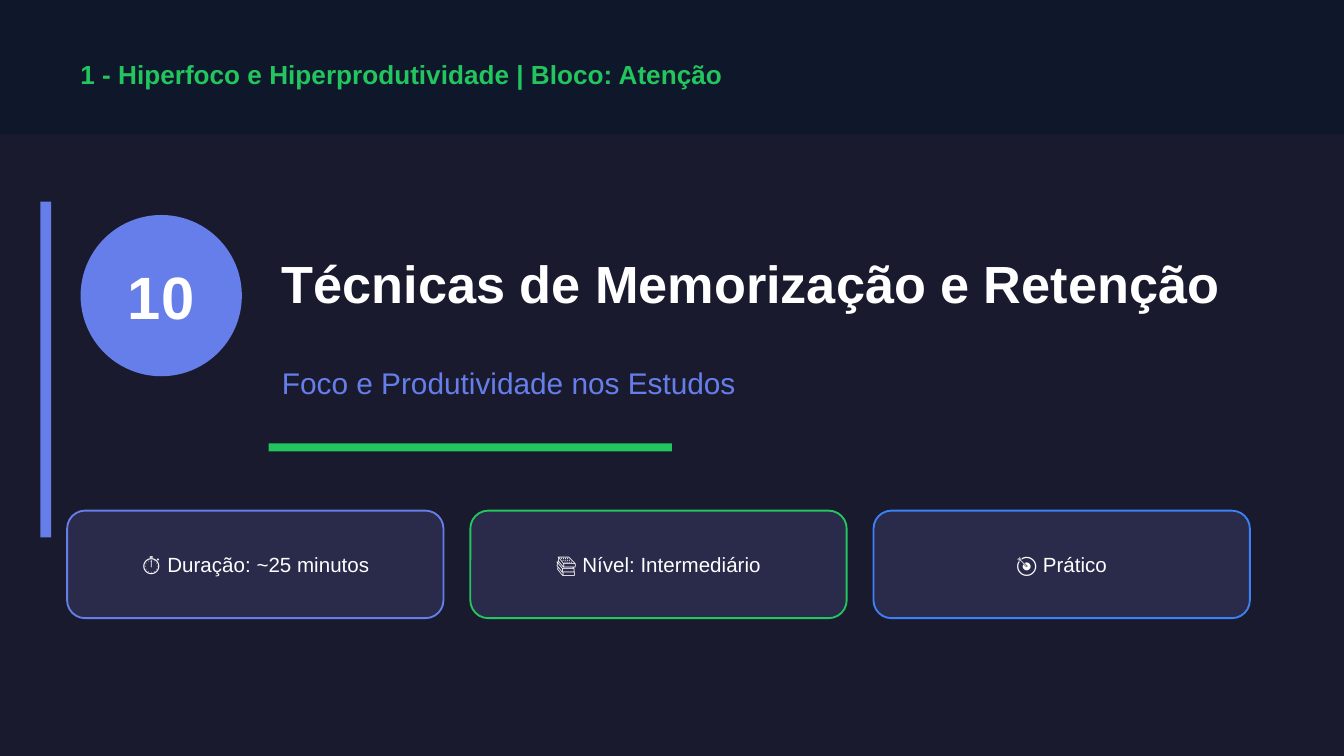
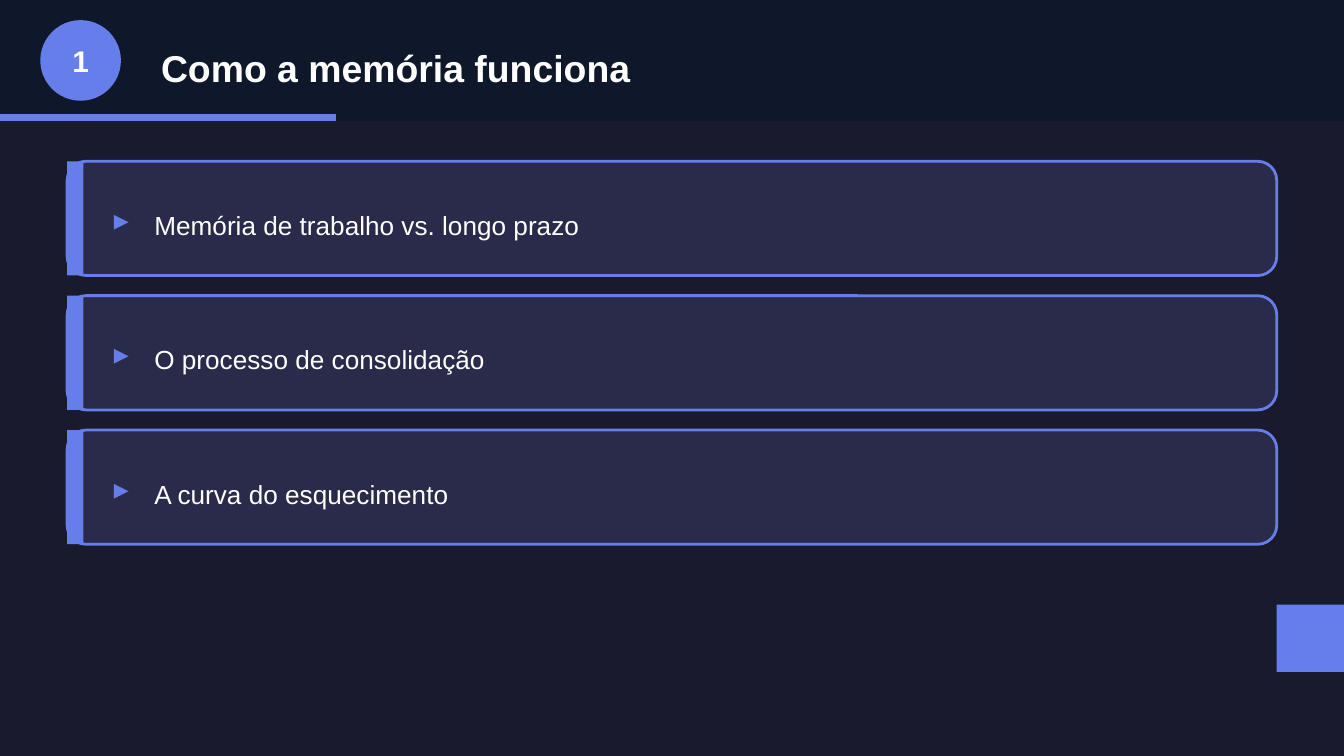
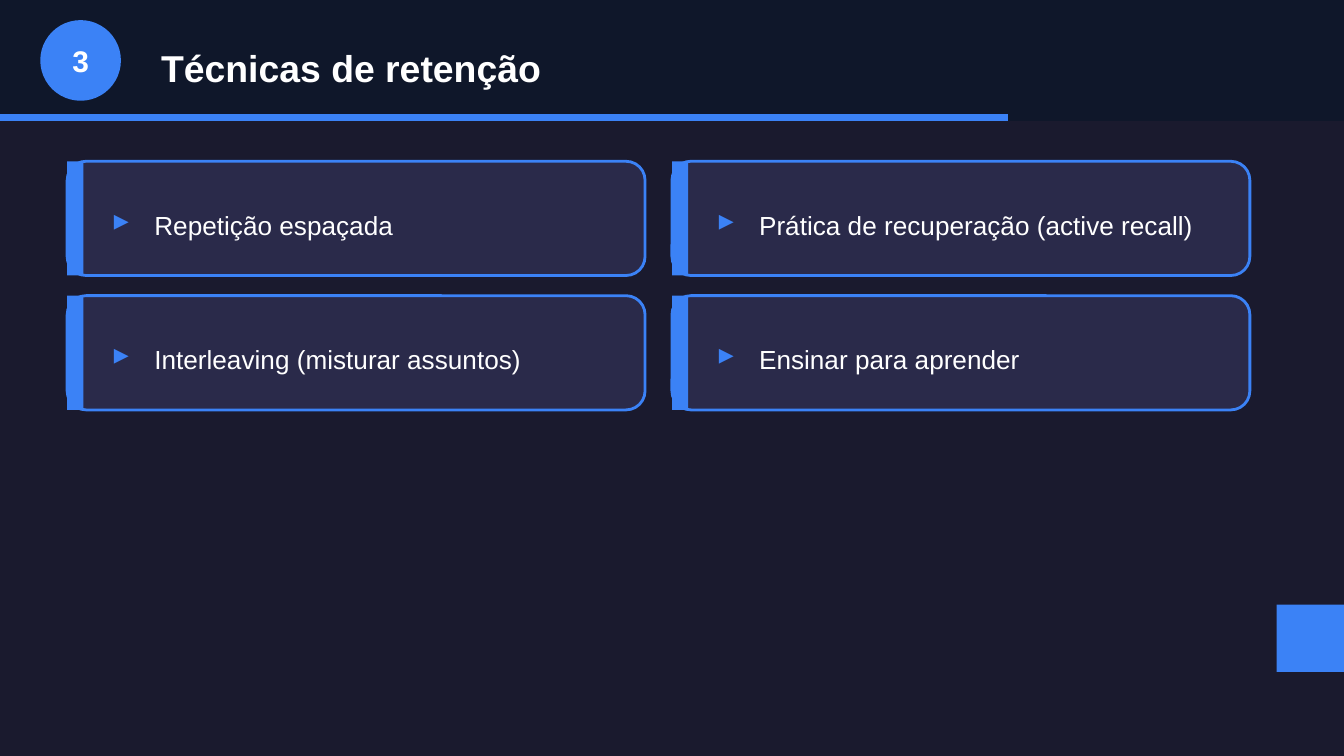
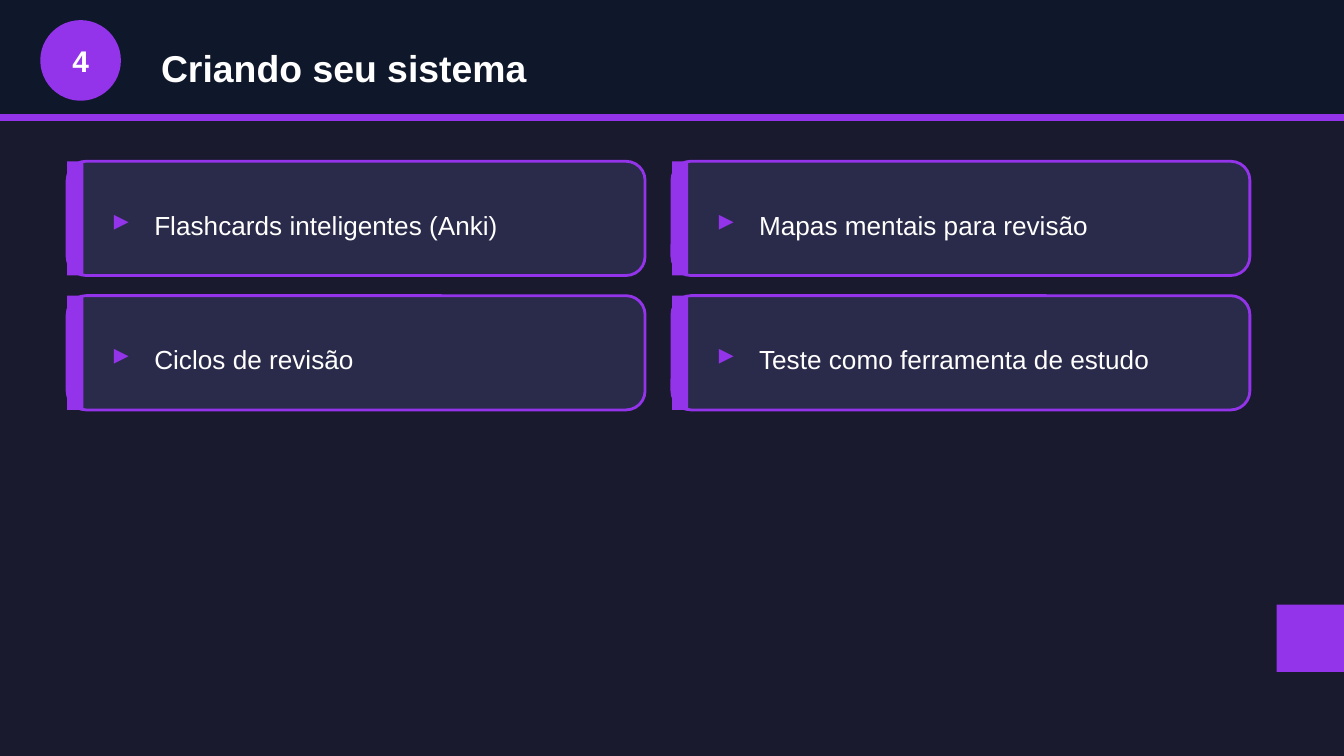
from pptx import Presentation
from pptx import util as u
from pptx.dml import color as dml
from pptx.enum import shapes, text

COLORS = {
    "background": "1A1A2E",
    "band": "0F172A",
    "card": "2A2A4A",
    "white": "FFFFFF",
    "indigo": "667EEA",
    "green": "22C55E",
    "blue": "3B82F6",
    "purple": "9333EA",
}
TEXT_STYLES = {
    "block": {"size": u.Pt(14), "bold": True},
    "lesson number": {"size": u.Pt(32), "bold": True},
    "lesson title": {"size": u.Pt(28), "bold": True},
    "subtitle": {"size": u.Pt(16), "bold": False},
    "tag": {"size": u.Pt(11), "bold": False},
    "badge": {"size": u.Pt(16), "bold": True},
    "section title": {"size": u.Pt(20), "bold": True},
    "marker": {"size": u.Pt(16), "bold": True},
    "topic": {"size": u.Pt(14), "bold": False},
}
FONT = "Arial"
SLIDE_WIDTH, SLIDE_HEIGHT = 720, 405
MARGIN = 36
SECTION_COUNT = 4
CARD_TOP, CARD_HEIGHT, CARD_PITCH = 86.4, 61.2, 72
COLUMN_PITCH = 324

TAGS = [
    ("⏱ Duração: ~25 minutos", "indigo"),
    ("📚 Nível: Intermediário", "green"),
    ("🎯 Prático", "blue"),
]
SECTIONS = [
    {"number": 1, "title": "Como a memória funciona", "accent": "indigo",
     "columns": 1, "card_width": 648,
     "topics": ["Memória de trabalho vs. longo prazo",
                "O processo de consolidação",
                "A curva do esquecimento"]},
    {"number": 3, "title": "Técnicas de retenção", "accent": "blue",
     "columns": 2, "card_width": 309.6,
     "topics": ["Repetição espaçada",
                "Prática de recuperação (active recall)",
                "Interleaving (misturar assuntos)",
                "Ensinar para aprender"]},
    {"number": 4, "title": "Criando seu sistema", "accent": "purple",
     "columns": 2, "card_width": 309.6,
     "topics": ["Flashcards inteligentes (Anki)",
                "Mapas mentais para revisão",
                "Ciclos de revisão",
                "Teste como ferramenta de estudo"]},
]


def rgb(name):
    return dml.RGBColor.from_string(COLORS[name])


class Deck:
    def __init__(self):
        self.presentation = Presentation()
        self.presentation.slide_width = u.Pt(SLIDE_WIDTH)
        self.presentation.slide_height = u.Pt(SLIDE_HEIGHT)
        self.slide = None

    def new_slide(self, band_height):
        self.slide = self.presentation.slides.add_slide(
            self.presentation.slide_layouts[6])
        fill = self.slide.background.fill
        fill.solid()
        fill.fore_color.rgb = rgb("background")
        self.block(0, 0, SLIDE_WIDTH, band_height, "band")

    def shape(self, kind, left, top, width, height, color, line=None, line_width=1):
        shape = self.slide.shapes.add_shape(
            kind, *map(u.Pt, (left, top, width, height)))
        shape.shadow.inherit = False
        shape.fill.solid()
        shape.fill.fore_color.rgb = rgb(color)
        if line:
            shape.line.color.rgb = rgb(line)
            shape.line.width = u.Pt(line_width)
        else:
            shape.line.fill.background()

    def block(self, *box_and_color):
        self.shape(shapes.MSO_SHAPE.RECTANGLE, *box_and_color)

    def disc(self, left, top, size, color):
        self.shape(shapes.MSO_SHAPE.OVAL, left, top, size, size, color)

    def card(self, left, top, width, height, line, line_width):
        self.shape(shapes.MSO_SHAPE.ROUNDED_RECTANGLE, left, top, width, height,
                   "card", line, line_width)

    def label(self, content, left, top, width, height, style,
              color="white", centered=False):
        box = self.slide.shapes.add_textbox(
            *map(u.Pt, (left, top, width, height)))
        frame = box.text_frame
        frame.word_wrap = True
        frame.vertical_anchor = text.MSO_ANCHOR.MIDDLE
        paragraph = frame.paragraphs[0]
        if centered:
            paragraph.alignment = text.PP_ALIGN.CENTER
        run = paragraph.add_run()
        run.text = content
        run.font.name = FONT
        run.font.color.rgb = rgb(color)
        for attribute, value in TEXT_STYLES[style].items():
            setattr(run.font, attribute, value)

    def tag(self, content, left, accent):
        self.card(left, 273.6, 201.6, 57.6, accent, 1)
        self.label(content, left, 284.4, 201.6, 36, "tag", centered=True)

    def topic(self, content, left, top, width, accent):
        self.card(left, top, width, CARD_HEIGHT, accent, 1.5)
        self.block(left, top, 8.64, CARD_HEIGHT, accent)
        self.label("▸", left + 18, top + 18, 21.6, 25.2, "marker", accent)
        self.label(content, left + 39.6, top + 18, width - 57.6, 32.4, "topic")


def add_cover(deck):
    deck.new_slide(band_height=72)
    deck.label("1 - Hiperfoco e Hiperprodutividade | Bloco: Atenção",
               MARGIN, 25.2, 648, 28.8, "block", "green")
    deck.block(21.6, 108, 5.76, 180, "indigo")
    deck.disc(43.2, 115.2, 86.4, "indigo")
    deck.label("10", 43.2, 133.2, 86.4, 50.4, "lesson number", centered=True)
    deck.label("Técnicas de Memorização e Retenção",
               144, 115.2, 540, 72, "lesson title")
    deck.label("Foco e Produtividade nos Estudos",
               144, 187.2, 540, 36, "subtitle", "indigo")
    deck.block(144, 237.6, 216, 4.32, "green")
    for index, (content, accent) in enumerate(TAGS):
        deck.tag(content, MARGIN + index * 216, accent)


def add_section(deck, number, title, accent, columns, card_width, topics):
    deck.new_slide(band_height=64.8)
    progress = SLIDE_WIDTH * number / SECTION_COUNT
    deck.block(0, 61.2, progress, 3.6, accent)
    deck.disc(21.6, 10.8, 43.2, accent)
    deck.label(str(number), 21.6, 18, 43.2, 28.8, "badge", centered=True)
    deck.label(title, 79.2, 18, 612, 36, "section title")
    for index, content in enumerate(topics):
        row, column = divmod(index, columns)
        deck.topic(content, MARGIN + column * COLUMN_PITCH,
                   CARD_TOP + row * CARD_PITCH, card_width, accent)
    deck.block(684, 324, 36, 36, accent)


def main():
    deck = Deck()
    add_cover(deck)
    for section in SECTIONS:
        add_section(deck, **section)
    deck.presentation.save("out.pptx")


if __name__ == "__main__":
    main()
